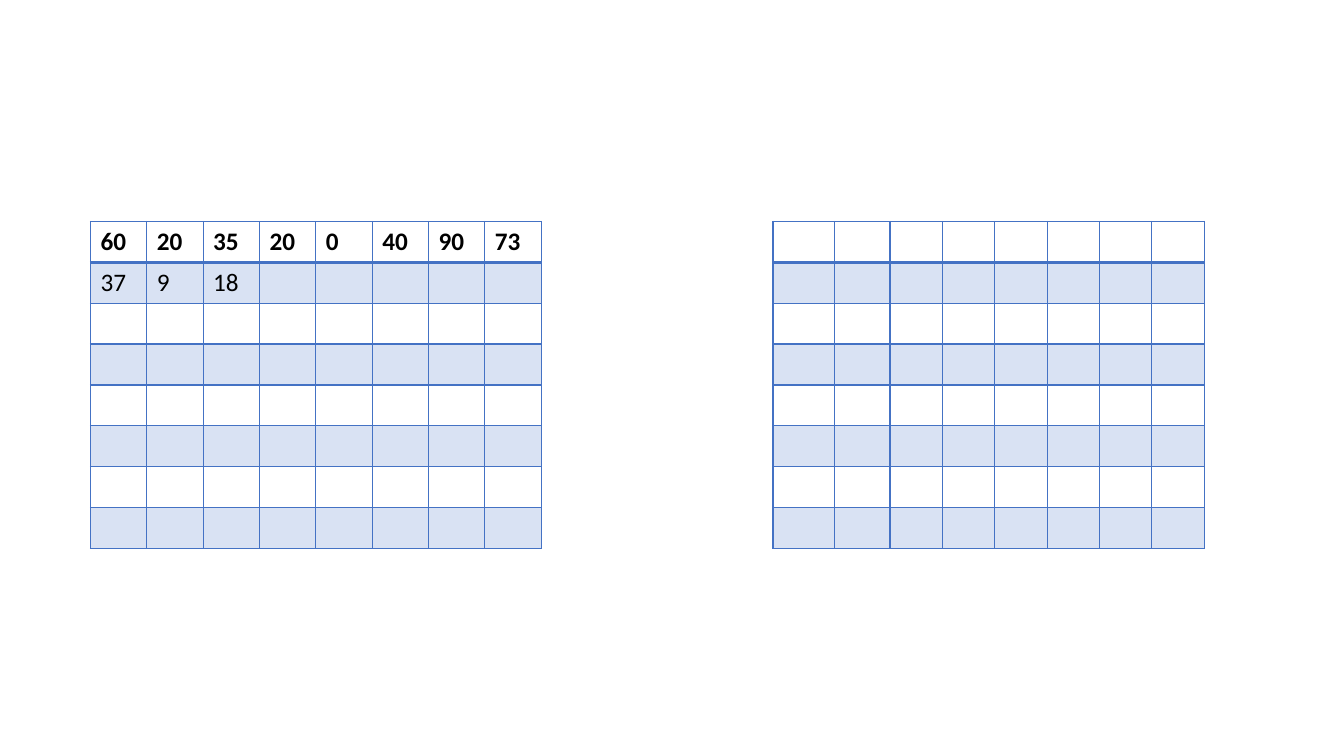
"""Build a slide with two banded eight-by-eight number grids."""
from dataclasses import dataclass

from lxml import etree
from pptx import Presentation
from pptx import util as u
from pptx.dml import color
from pptx.oxml import ns

COLORS = {"grid": "4472C4", "text": "000000"}
FONT = "Calibri"
ROW_COUNT = 8
ROW_HEIGHT = u.Cm(1.03)
TOP = u.Cm(5.58)
BAND_OPACITY = 20


@dataclass
class Grid:
    left: u.Length
    widths: list[u.Length]
    rows: list[list[str]]


GRIDS = [
    Grid(u.Cm(2.28), [u.Cm(1.42)] * 8,
         [["60", "20", "35", "20", "0", "40", "90", "73"], ["37", "9", "18"]]),
    Grid(u.Cm(19.48), [u.Cm(1.55), u.Cm(1.4)] + [u.Cm(1.32)] * 6, []),
]


def write(cell, text: str, *, size: int = 18, bold: bool = False) -> None:
    para = cell.text_frame.paragraphs[0]
    para.font.size = u.Pt(size)
    if text:
        span = para.add_run()
        span.text = text
        span.font.name = FONT
        span.font.size = u.Pt(size)
        span.font.bold = bold
        span.font.color.rgb = color.RGBColor.from_string(COLORS["text"])


def add_borders(cell, **widths: int) -> None:
    properties = cell._tc.get_or_add_tcPr()
    for side, points in widths.items():
        line = etree.SubElement(properties, ns.qn(f"a:ln{side}"), w=str(u.Pt(points)))
        fill = etree.SubElement(line, ns.qn("a:solidFill"))
        etree.SubElement(fill, ns.qn("a:srgbClr"), val=COLORS["grid"])


def fill_band(cell, banded: bool) -> None:
    if not banded:
        cell.fill.background()
        return
    cell.fill.solid()
    cell.fill.fore_color.rgb = color.RGBColor.from_string(COLORS["grid"])
    tint = cell._tc.tcPr.find(ns.qn("a:solidFill"))[0]
    etree.SubElement(tint, ns.qn("a:alpha"), val=str(BAND_OPACITY * 1000))


def draw_grid(page, grid: Grid) -> None:
    frame = page.shapes.add_table(ROW_COUNT, len(grid.widths), grid.left, TOP,
                                  sum(grid.widths), ROW_HEIGHT * ROW_COUNT)
    table = frame.table
    table.first_row = table.horz_banding = False
    for column, width in zip(table.columns, grid.widths):
        column.width = width
    for row_index, row in enumerate(table.rows):
        row.height = ROW_HEIGHT
        texts = grid.rows[row_index] if row_index < len(grid.rows) else []
        for column_index, cell in enumerate(row.cells):
            text = texts[column_index] if column_index < len(texts) else ""
            write(cell, text, bold=row_index == 0)
            add_borders(cell, L=1, R=1, T=2 if row_index == 1 else 1,
                        B=2 if row_index == 0 else 1)
            fill_band(cell, row_index % 2 == 1)


def main() -> None:
    deck = Presentation()
    deck.slide_width, deck.slide_height = u.Cm(33.87), u.Cm(19.05)
    page = deck.slides.add_slide(deck.slide_layouts[6])
    for grid in GRIDS:
        draw_grid(page, grid)
    deck.save("out.pptx")


main()
